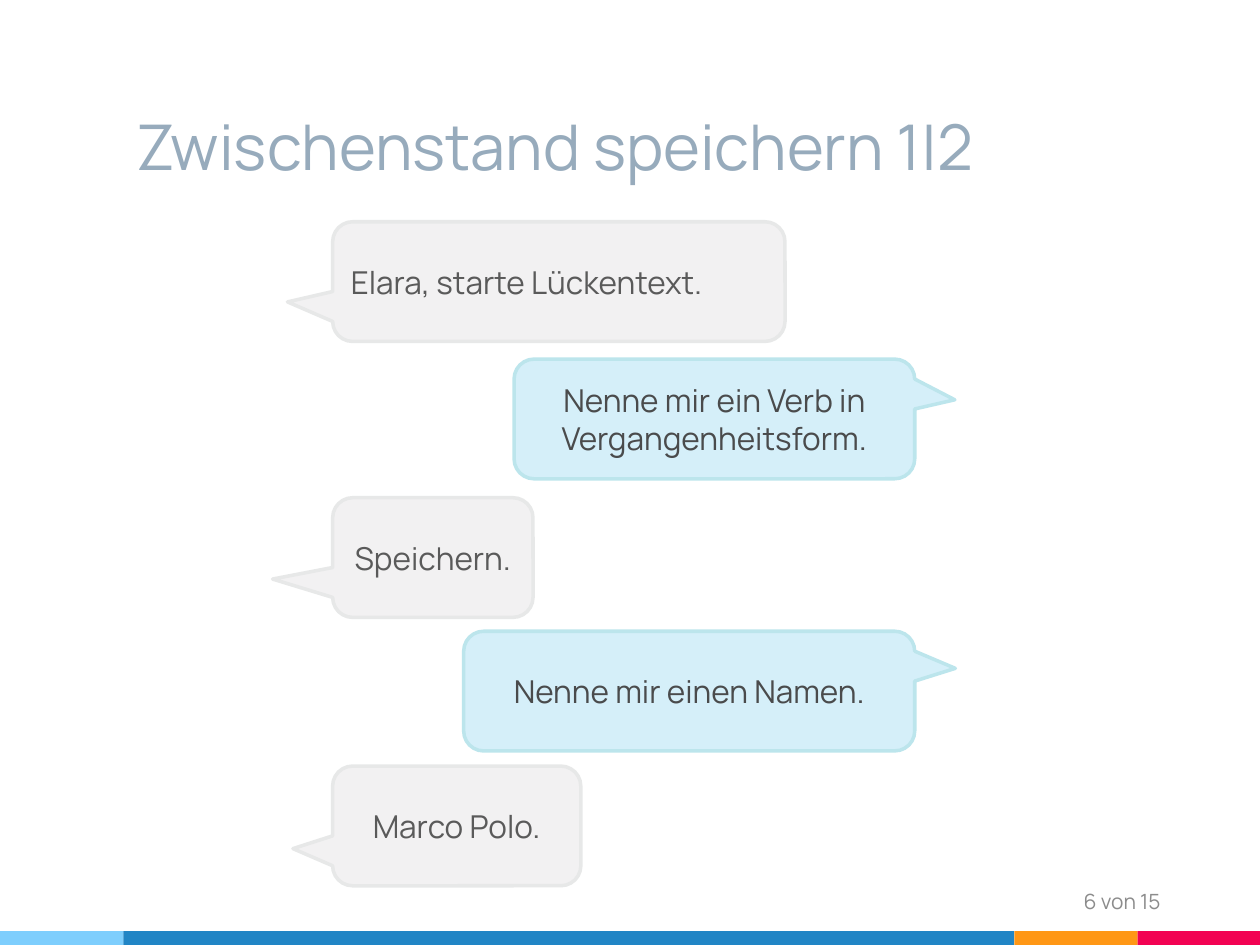
from pptx import Presentation
from pptx.dml.color import RGBColor
from pptx.enum.shapes import MSO_SHAPE as Shape
from pptx.enum.text import MSO_ANCHOR as Anchor, MSO_AUTO_SIZE as AutoSize, PP_ALIGN as Align
from pptx.util import Inches, Pt

FONT = "Manrope"
COLORS = {
    "title": "97ABBC", "page_number": "8C8C8C",
    "sky": "7ECEFD", "blue": "2185C5", "orange": "FF9715", "red": "F20253",
    "user_fill": "F2F1F2", "user_line": "E7E8E8", "user_text": "5A5A5A",
    "skill_fill": "D5EFF9", "skill_line": "BCE5EC", "skill_text": "4A4B4C",
}
FOOTER_BANDS = [("sky", 0.98), ("blue", 7.07), ("orange", 0.98), ("red", 0.97)]
BUBBLE_HEIGHT = 0.95
USER_LEFT, SKILL_RIGHT = 2.64, 7.26
# speaker, top, width, tail tip relative to the bubble's centre, alignment, text
DIALOGUE = [
    ("user", 1.76, 3.59, (-0.6, 0.17), Align.LEFT, "Elara, starte Lückentext."),
    ("skill", 2.85, 3.18, (0.6, -0.16), Align.CENTER,
     "Nenne mir ein Verb in Vergangenheitsform."),
    ("user", 3.95, 1.59, (-0.8, 0.18), Align.CENTER, "Speichern."),
    ("skill", 5.01, 3.58, (0.59, -0.19), Align.CENTER, "Nenne mir einen Namen."),
    ("user", 6.08, 1.97, (-0.66, 0.19), Align.CENTER, "Marco Polo."),
]


def color(name):
    return RGBColor.from_string(COLORS[name])


def write(shape, text, size, color_name, align, anchor):
    frame = shape.text_frame
    frame.word_wrap = True
    frame.auto_size = AutoSize.NONE
    frame.vertical_anchor = anchor
    para = frame.paragraphs[0]
    para.alignment = align
    span = para.add_run()
    span.text = text
    span.font.name = FONT
    span.font.size = Pt(size)
    span.font.color.rgb = color(color_name)
    return para


def add_filled(page, kind, left, top, width, height, fill):
    shape = page.shapes.add_shape(
        kind, Inches(left), Inches(top), Inches(width), Inches(height))
    shape.shadow.inherit = False
    shape.fill.solid()
    shape.fill.fore_color.rgb = color(fill)
    return shape


def add_footer_bands(page):
    left = 0
    for name, width in FOOTER_BANDS:
        band = add_filled(page, Shape.RECTANGLE, left, 7.39, width, 0.11, name)
        band.line.fill.background()
        left += width


def set_title(page, text):
    title = page.shapes.title
    title.left, title.top = Inches(0.98), Inches(0.3)
    title.width, title.height = Inches(7.07), Inches(1.25)
    frame = title.text_frame
    frame.margin_left = frame.margin_right = Inches(0.1)
    frame.margin_top = frame.margin_bottom = Inches(0.1)
    write(title, text, 36, "title", Align.LEFT, Anchor.BOTTOM)


def add_page_number(page, text):
    box = page.shapes.add_textbox(Inches(7.06), Inches(6.95), Inches(2.25), Inches(0.4))
    write(box, text, 12, "page_number", Align.RIGHT, Anchor.MIDDLE)


def add_bubble(page, speaker, top, width, tail, align, text):
    left = USER_LEFT if speaker == "user" else SKILL_RIGHT - width
    bubble = add_filled(page, Shape.ROUNDED_RECTANGULAR_CALLOUT, left, top,
                        width, BUBBLE_HEIGHT, f"{speaker}_fill")
    bubble.adjustments[0], bubble.adjustments[1] = tail
    bubble.line.color.rgb = color(f"{speaker}_line")
    bubble.line.width = Pt(2)
    para = write(bubble, text, 18, f"{speaker}_text", align, Anchor.MIDDLE)
    if speaker == "user":
        para.space_after = Pt(6)


def main():
    deck = Presentation()
    deck.slide_width, deck.slide_height = Inches(10), Inches(7.5)
    page = deck.slides.add_slide(deck.slide_layouts[5])
    add_footer_bands(page)
    set_title(page, "Zwischenstand speichern 1|2")
    add_page_number(page, "6 von 15")
    for turn in DIALOGUE:
        add_bubble(page, *turn)
    deck.save("out.pptx")


if __name__ == "__main__":
    main()
